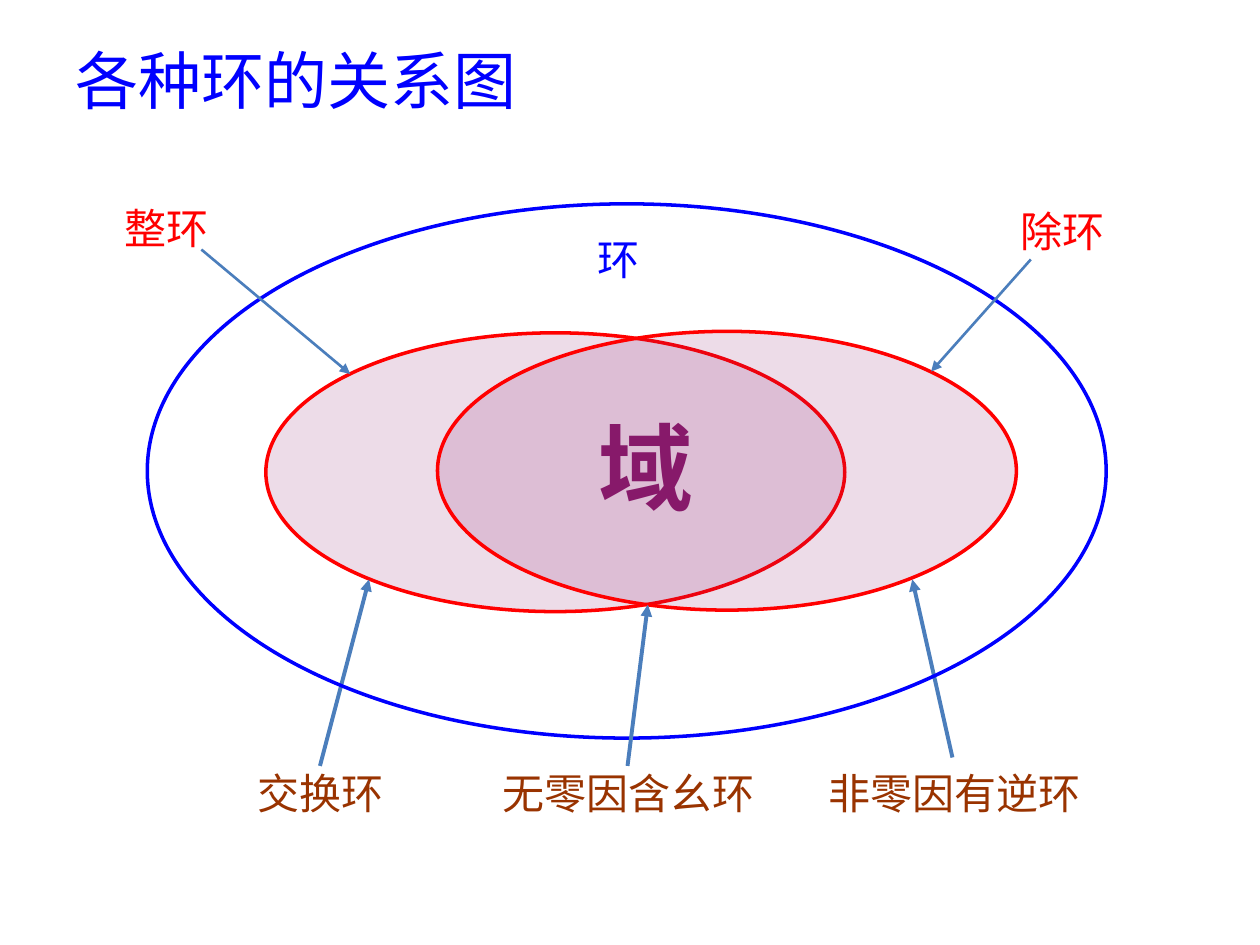
import pptx
import pptx.dml.color
import pptx.enum.shapes
import pptx.enum.text
import pptx.oxml
import pptx.oxml.ns
import pptx.util
from lxml import etree

Cm = pptx.util.Cm
Pt = pptx.util.Pt
RGBColor = pptx.dml.color.RGBColor
Shapes = pptx.enum.shapes.MSO_SHAPE
Align = pptx.enum.text.PP_ALIGN

FONT = "Noto Sans CJK SC"
BLUE = RGBColor(0x00, 0x00, 0xFF)
RED = RGBColor(0xFF, 0x00, 0x00)
BROWN = RGBColor(0x99, 0x33, 0x00)
PURPLE = RGBColor(0x87, 0x19, 0x6A)
STEEL = RGBColor(0x4B, 0x7E, 0xBC)

LABEL_HEIGHT = 1.09
PROPERTY_TOP = 15.44


def write(shape, text, size, color, align=Align.CENTER, bold=False):
    frame = shape.text_frame
    frame.text = text
    frame.word_wrap = True
    frame.vertical_anchor = pptx.enum.text.MSO_ANCHOR.MIDDLE
    para = frame.paragraphs[0]
    para.alignment = align
    span = para.runs[0]
    span.font.size = Pt(size)
    span.font.bold = bold
    span.font.color.rgb = color
    span.font.name = FONT
    east_asian = etree.SubElement(span.font._element, pptx.oxml.ns.qn("a:ea"))
    east_asian.set("typeface", FONT)


def add_title(page, text):
    title = page.shapes.title
    title.left, title.top = Cm(1.27), Cm(0.69)
    title.width, title.height = Cm(22.86), Cm(1.8)
    write(title, text, 36, BLUE, Align.LEFT)


def add_label(page, text, left, top, width, color):
    box = page.shapes.add_textbox(Cm(left), Cm(top), Cm(width), Cm(LABEL_HEIGHT))
    write(box, text, 24, color)


def add_ring(page, left, top, width, height, color, filled=True):
    ring = page.shapes.add_shape(
        Shapes.OVAL, Cm(left), Cm(top), Cm(width), Cm(height))
    ring.shadow.inherit = False
    ring.line.color.rgb = color
    ring.line.width = Pt(2)
    if filled:
        ring.fill.solid()
        ring.fill.fore_color.rgb = PURPLE
        tint = ring.fill._xPr.find(".//" + pptx.oxml.ns.qn("a:srgbClr"))
        etree.SubElement(tint, pptx.oxml.ns.qn("a:alpha")).set("val", "15000")
    else:
        ring.fill.background()


def add_arrow(page, start, end, weight):
    arrow = page.shapes.add_connector(
        pptx.enum.shapes.MSO_CONNECTOR.STRAIGHT,
        Cm(start[0]), Cm(start[1]), Cm(end[0]), Cm(end[1]))
    arrow.line.color.rgb = STEEL
    arrow.line.width = Pt(weight)
    outline = arrow.line._get_or_add_ln()
    etree.SubElement(outline, pptx.oxml.ns.qn("a:tailEnd")).set("type", "triangle")
    etree.SubElement(arrow._element.spPr, pptx.oxml.ns.qn("a:effectLst"))


def add_field(page, text):
    field = page.shapes.add_shape(
        Shapes.ROUNDED_RECTANGLE, Cm(11.3), Cm(8.48), Cm(3.45), Cm(1.83))
    field.shadow.inherit = False
    field.fill.background()
    field.line.fill.background()
    write(field, text, 54, PURPLE, bold=True)


def main():
    deck = pptx.Presentation()
    deck.slide_width, deck.slide_height = Cm(25.4), Cm(19.05)
    page = deck.slides.add_slide(deck.slide_layouts[5])
    add_title(page, "各种环的关系图")

    add_ring(page, 5.36, 6.71, 11.67, 5.62, RED)
    add_label(page, "交换环", 4.45, PROPERTY_TOP, 4.01, BROWN)
    add_arrow(page, (6.45, 15.44), (7.44, 11.68), 2.25)

    add_ring(page, 8.82, 6.68, 11.67, 5.62, RED)
    add_label(page, "非零因有逆环", 15.95, PROPERTY_TOP, 6.58, BROWN)
    add_arrow(page, (19.2, 15.27), (18.39, 11.68), 2.25)

    add_ring(page, 2.97, 4.11, 19.33, 10.77, BLUE, filled=False)
    add_label(page, "环", 11.56, 4.67, 1.83, BLUE)

    add_label(page, "整环", 1.35, 4.04, 4.01, RED)
    add_arrow(page, (4.06, 5.03), (7.06, 7.54), 1.5)
    add_label(page, "除环", 19.41, 4.11, 4.01, RED)
    add_arrow(page, (20.78, 5.23), (18.77, 7.49), 1.5)

    add_field(page, "域")
    add_label(page, "无零因含幺环", 9.73, PROPERTY_TOP, 5.89, BROWN)
    add_arrow(page, (12.65, 15.44), (13.06, 12.19), 2.25)

    deck.save("out.pptx")


if __name__ == "__main__":
    main()
